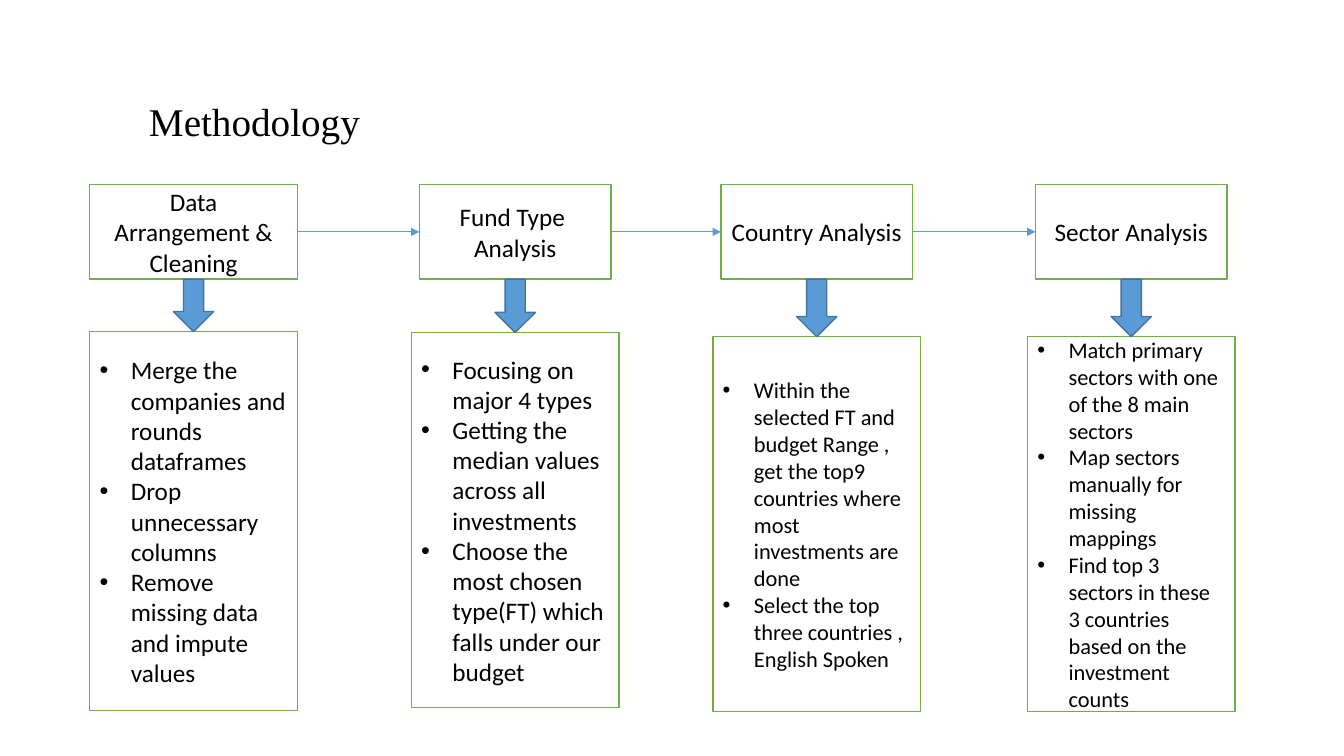
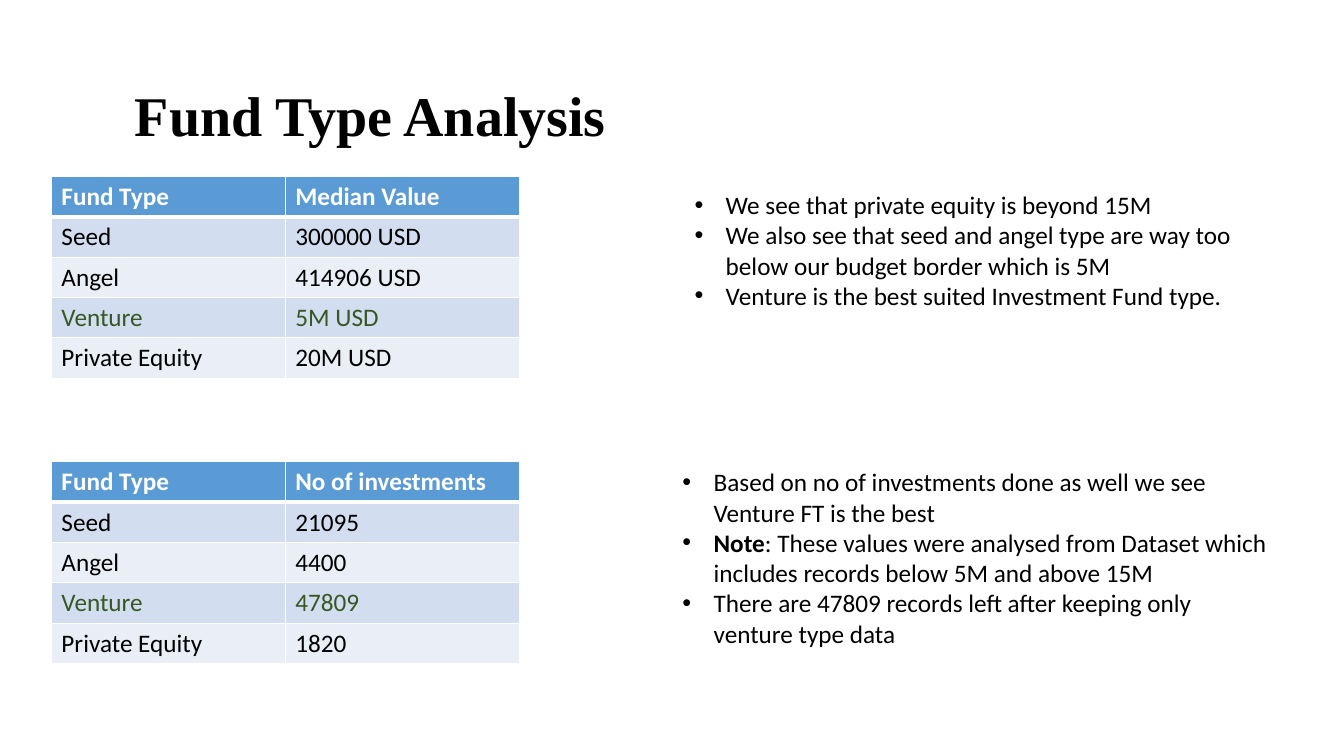
from dataclasses import dataclass

from lxml import etree
from pptx import Presentation
from pptx.dml.color import RGBColor
from pptx.enum.shapes import MSO_CONNECTOR, MSO_SHAPE
from pptx.enum.text import MSO_ANCHOR, PP_ALIGN
from pptx.oxml.ns import qn
from pptx.util import Inches, Pt

RECTANGLE = MSO_SHAPE.RECTANGLE
DOWN_ARROW = MSO_SHAPE.DOWN_ARROW
STRAIGHT = MSO_CONNECTOR.STRAIGHT
MIDDLE = MSO_ANCHOR.MIDDLE
TOP = MSO_ANCHOR.TOP
LEFT = PP_ALIGN.LEFT
CENTER = PP_ALIGN.CENTER


@dataclass(frozen=True)
class Theme:
    title_font: str = "Times New Roman"
    body_font: str = "Calibri"
    ink: str = "000000"
    paper: str = "FFFFFF"
    box_edge: str = "70AD47"
    accent: str = "5B9BD5"
    accent_edge: str = "43739E"
    highlight: str = "385723"
    bands: tuple = ("D2DEEF", "EAEFF7")
    title_size: int = 40
    subtitle_size: int = 28
    body_size: int = 18
    small_size: int = 16
    edge: float = 1
    header_rule: float = 3
    hairline: float = 0.5
    bullet_indent: float = 0.31


def rgb(value):
    return RGBColor.from_string(value)


class Deck:
    def __init__(self, theme):
        self.theme = theme
        self.presentation = Presentation()
        self.presentation.slide_width = Inches(13.33)
        self.presentation.slide_height = Inches(7.5)
        self.slide = None

    def add_slide(self):
        self.slide = self.presentation.slides.add_slide(self.presentation.slide_layouts[6])

    def set_text(self, frame, paragraphs, anchor=TOP, align=LEFT, bulleted=False,
                 spacing=None, **formats):
        frame.word_wrap = True
        frame.vertical_anchor = anchor
        for index, runs in enumerate(paragraphs):
            paragraph = frame.paragraphs[0] if index == 0 else frame.add_paragraph()
            paragraph.alignment = align
            if spacing:
                paragraph.line_spacing = spacing
            if bulleted:
                self.bullet(paragraph)
            for words, changes in [(runs, {})] if isinstance(runs, str) else runs:
                run = paragraph.add_run()
                run.text = words
                self.style(run.font, {**formats, **changes})

    def style(self, font, formats):
        values = {"name": self.theme.body_font, "size": self.theme.body_size,
                  "bold": False, "color": self.theme.ink, **formats}
        font.color.rgb = rgb(values.pop("color"))
        values["size"] = Pt(values["size"])
        for attribute, value in values.items():
            setattr(font, attribute, value)

    def bullet(self, paragraph):
        properties = paragraph._p.get_or_add_pPr()
        indent = Inches(self.theme.bullet_indent)
        properties.set("marL", str(indent))
        properties.set("indent", str(-indent))
        etree.SubElement(properties, qn("a:buFont"), typeface="Arial")
        etree.SubElement(properties, qn("a:buChar"), char="•")

    def text(self, place, paragraphs, **formats):
        area = self.slide.shapes.add_textbox(*map(Inches, place))
        self.set_text(area.text_frame, paragraphs, **formats)

    def title(self, runs):
        self.text((1.24, 0.7, 10.19, 0.94), [runs], anchor=MIDDLE, spacing=0.9,
                  name=self.theme.title_font, size=self.theme.title_size, bold=True)

    def shape(self, kind, place, fill, edge):
        shape = self.slide.shapes.add_shape(kind, *map(Inches, place))
        shape.shadow.inherit = False
        shape.fill.solid()
        shape.fill.fore_color.rgb = rgb(fill)
        shape.line.color.rgb = rgb(edge)
        shape.line.width = Pt(self.theme.edge)
        return shape

    def box(self, place, paragraphs, **formats):
        box = self.shape(RECTANGLE, place, self.theme.paper, self.theme.box_edge)
        self.set_text(box.text_frame, paragraphs, anchor=MIDDLE, **formats)

    def down_arrow(self, place):
        self.shape(DOWN_ARROW, place, self.theme.accent, self.theme.accent_edge)

    def link(self, start, end, y):
        link = self.slide.shapes.add_connector(STRAIGHT, *map(Inches, (start, y, end, y)))
        link.line.color.rgb = rgb(self.theme.accent)
        link.line.width = Pt(self.theme.hairline)
        properties = link._element.spPr
        etree.SubElement(properties.find(qn("a:ln")), qn("a:tailEnd"), type="triangle")
        etree.SubElement(properties, qn("a:effectLst"))

    def cell_borders(self, cell, widths):
        properties = cell._tc.get_or_add_tcPr()
        for side, width in widths.items():
            border = etree.SubElement(properties, qn(f"a:ln{side}"), w=str(Pt(width)))
            fill = etree.SubElement(border, qn("a:solidFill"))
            etree.SubElement(fill, qn("a:srgbClr"), val=self.theme.paper)

    def table(self, place, rows, highlighted):
        theme = self.theme
        grid = self.slide.shapes.add_table(len(rows), len(rows[0]), *map(Inches, place)).table
        for r, row in enumerate(rows):
            header = r == 0
            fill = theme.accent if header else theme.bands[(r - 1) % 2]
            ink = theme.paper if header else theme.ink
            if row[0] == highlighted:
                ink = theme.highlight
            widths = dict.fromkeys("LRTB", theme.edge)
            if header:
                widths["B"] = theme.header_rule
            elif r == 1:
                widths["T"] = theme.header_rule
            for c, words in enumerate(row):
                cell = grid.cell(r, c)
                self.cell_borders(cell, widths)
                cell.fill.solid()
                cell.fill.fore_color.rgb = rgb(fill)
                self.set_text(cell.text_frame, [words], color=ink, bold=header)


def methodology(deck):
    theme = deck.theme
    deck.add_slide()
    deck.title([(" ", {}), ("Methodology", {"size": theme.subtitle_size, "bold": False})])
    step_top, step_height = 1.83, 0.94
    step_bottom = step_top + step_height
    detail_width, arrow_width = 2.06, 0.4
    stages = [
        (1.92, 2.06, ["Data Arrangement & Cleaning"], 3.29, 3.76, theme.body_size,
         ["Merge the companies and rounds dataframes",
          "Drop unnecessary columns",
          "Remove missing data and impute values"]),
        (5.11, 1.9, ["Fund Type ", "Analysis"], 3.3, 3.72, theme.body_size,
         ["Focusing on major 4 types",
          "Getting the median values across all investments",
          "Choose the most chosen type(FT) which falls under our budget"]),
        (8.1, 1.9, ["Country Analysis"], 3.34, 3.72, theme.small_size,
         ["Within the selected FT and budget Range , get the top9 countries "
          "where most investments are done",
          "Select the top three countries , English Spoken"]),
        (11.22, 1.9, ["Sector Analysis"], 3.34, 3.72, theme.small_size,
         ["Match primary sectors with one of the 8 main sectors",
          "Map sectors manually for missing mappings",
          "Find top 3 sectors in these 3 countries based on the investment counts"]),
    ]
    previous_right = None
    for center, width, step, detail_top, detail_height, size, details in stages:
        left = center - width / 2
        deck.box((left, step_top, width, step_height), step, align=CENTER)
        deck.box((center - detail_width / 2, detail_top, detail_width, detail_height),
                 details, bulleted=True, size=size)
        deck.down_arrow((center - arrow_width / 2, step_bottom,
                         arrow_width, detail_top - step_bottom))
        if previous_right is not None:
            deck.link(previous_right, left, step_top + step_height / 2)
        previous_right = left + width


def fund_type_analysis(deck):
    deck.add_slide()
    deck.title("Fund Type Analysis")
    fund_types = ["Fund Type", "Seed", "Angel", "Venture", "Private Equity"]
    medians = ["Median Value", "300000 USD", "414906 USD", "5M USD", "20M USD"]
    investments = ["No of investments", "21095", "4400", "47809", "1820"]
    for top, values in [(1.75, medians), (4.58, investments)]:
        deck.table((0.51, top, 4.64, 2), list(zip(fund_types, values)), "Venture")
    deck.text((6.79, 1.83, 6.03, 1.62), [
        "We see that private equity is beyond 15M",
        "We also see that seed and angel type are way too below our budget border which is 5M",
        "Venture is the best suited Investment Fund type.",
    ], bulleted=True)
    deck.text((6.67, 4.58, 6.03, 2.22), [
        "Based on no of investments done as well we see Venture FT is the best",
        [("Note", {"bold": True}),
         (": These values were analysed from Dataset which includes records "
          "below 5M and above 15M", {})],
        "There are 47809 records left after keeping only venture type data",
    ], bulleted=True)


def main():
    deck = Deck(Theme())
    methodology(deck)
    fund_type_analysis(deck)
    deck.presentation.save("out.pptx")


if __name__ == "__main__":
    main()
